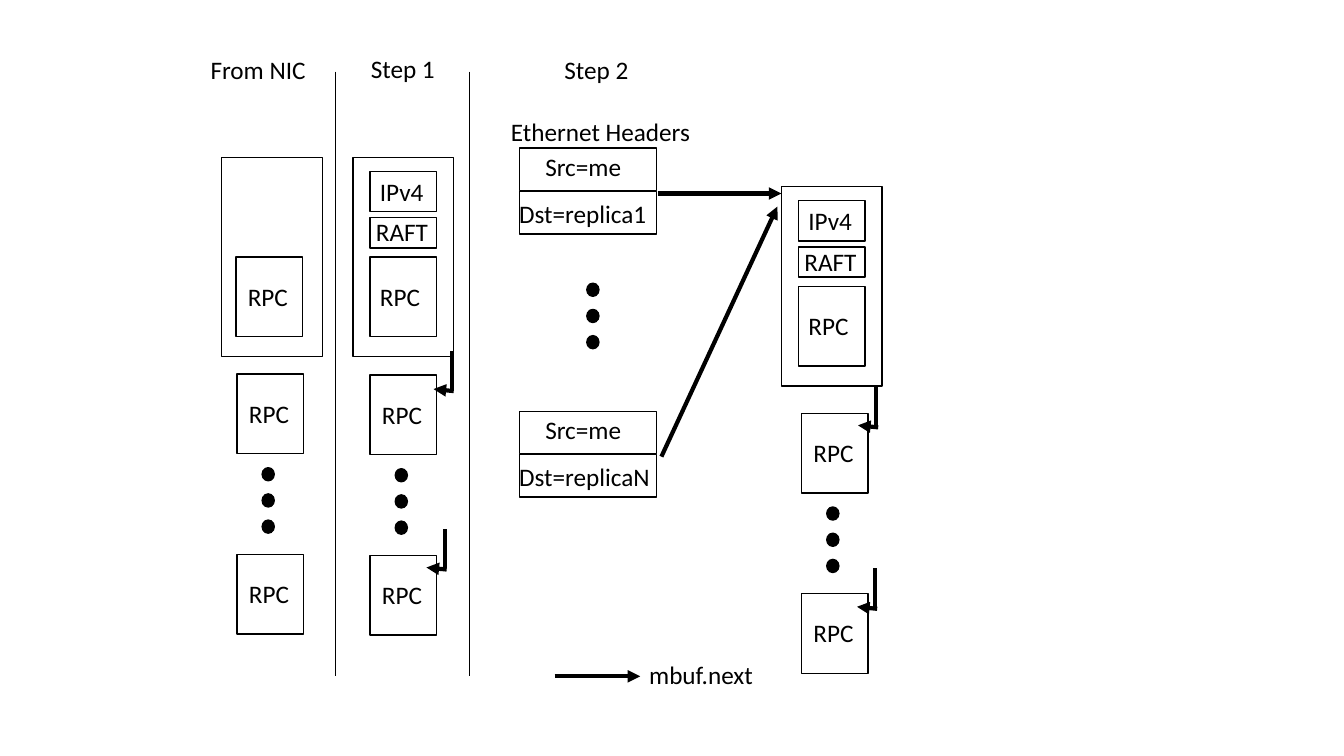
from lxml import etree
from pptx import Presentation
from pptx.dml.color import RGBColor
from pptx.enum.shapes import MSO_CONNECTOR, MSO_SHAPE
from pptx.enum.text import MSO_AUTO_SIZE
from pptx.oxml.ns import qn
from pptx.util import Inches, Pt

RECTANGLE = MSO_SHAPE.RECTANGLE
OVAL = MSO_SHAPE.OVAL
STRAIGHT = MSO_CONNECTOR.STRAIGHT
FIT_TEXT = MSO_AUTO_SIZE.SHAPE_TO_FIT_TEXT
BLACK = "000000"
FONT = "Calibri"
TEXT_HEIGHT = 0.4

# Content: free-standing text as (text, left, top, width)
CAPTIONS = [
    ("From NIC", 1.99, 0.49, 1.16),
    ("Step 1", 3.58, 0.48, 0.84),
    ("Step 2", 5.5, 0.49, 0.84),
    ("Ethernet Headers", 4.97, 1.1, 2),
    ("mbuf.next", 6.34, 6.49, 1.24),
]

# Parts of a packet: text, box (dx, dy, height), label (dx, dy, width)
RPC_PART = ("RPC", (0.17, 0.99, 0.79), (0.17, 1.18, 0.6))
RAFT_PART = ("RAFT", (0.17, 0.6, 0.3), (0.13, 0.54, 0.72))
IPV4_PART = ("IPv4", (0.17, 0.14, 0.4), (0.17, 0.14, 0.64))
NIC_RPC_PART = ("RPC", (0.14, 0.99, 0.79), (0.16, 1.18, 0.6))
PACKETS = [
    (2.2, 1.56, [NIC_RPC_PART]),
    (3.5, 1.56, [RPC_PART, RAFT_PART, IPV4_PART]),
    (7.75, 1.85, [RPC_PART, RAFT_PART, IPV4_PART]),
]
PACKET_SIZE = (1, 1.98)
PART_WIDTH = 0.66

# Chains of further RPC buffers below each packet
CHAINS = [(2.35, 3.71), (3.67, 3.72), (7.95, 4.1)]
CHAIN_STEP = 1.79
CHAIN_PART = ("RPC", (0, 0, 0.79), (0.02, 0.19, 0.6))
CHAIN_DOTS = (0.25, 0.93)

# Ethernet headers: left, top, destination, width of destination text
HEADERS = [
    (5.15, 1.47, "Dst=replica1", 1.48),
    (5.15, 4.08, "Dst=replicaN", 1.51),
]
HEADER_SIZE = (1.36, 0.42)
HEADER_STEP = 0.43
HEADER_DOTS = (5.82, 2.81)

DIVIDERS = [3.33, 4.66]
ARROWS = [
    ((6.53, 1.92), (7.75, 1.92)),
    ((6.56, 4.53), (7.71, 2.05)),
    ((5.5, 6.71), (6.35, 6.71)),
]
HOOKS = [(4.48, 3.48), (4.41, 5.25), (8.68, 5.64), (8.69, 3.84)]


def color(hex_value):
    return RGBColor.from_string(hex_value)


def add_shape(slide, kind, left, top, width, height, fill=None):
    shape = slide.shapes.add_shape(
        kind, Inches(left), Inches(top), Inches(width), Inches(height))
    shape.shadow.inherit = False
    if fill:
        shape.fill.solid()
        shape.fill.fore_color.rgb = color(fill)
    else:
        shape.fill.background()
    shape.line.color.rgb = color(BLACK)
    shape.line.width = Pt(1)


def add_label(slide, text, left, top, width):
    box = slide.shapes.add_textbox(
        Inches(left), Inches(top), Inches(width), Inches(TEXT_HEIGHT))
    frame = box.text_frame
    frame.text = text
    frame.word_wrap = False
    frame.auto_size = FIT_TEXT
    font = frame.paragraphs[0].runs[0].font
    font.name = FONT
    font.size = Pt(18)
    font.color.rgb = color(BLACK)


def add_line(slide, start, end, weight=3, arrow=False):
    connector = slide.shapes.add_connector(
        STRAIGHT, *(Inches(value) for value in (*start, *end)))
    connector.line.color.rgb = color(BLACK)
    connector.line.width = Pt(weight)
    if arrow:
        outline = connector.line._get_or_add_ln()
        etree.SubElement(outline, qn("a:tailEnd"), type="triangle")
    etree.SubElement(connector._element.spPr, qn("a:effectLst"))


def add_part(slide, left, top, part):
    text, (box_x, box_y, height), (label_x, label_y, width) = part
    add_shape(slide, RECTANGLE, left + box_x, top + box_y, PART_WIDTH, height)
    add_label(slide, text, left + label_x, top + label_y, width)


def add_dots(slide, left, top):
    for index in range(3):
        add_shape(slide, OVAL, left, top + 0.26 * index, 0.12, 0.13, BLACK)


def main():
    presentation = Presentation()
    presentation.slide_width = Inches(13.33)
    presentation.slide_height = Inches(7.5)
    slide = presentation.slides.add_slide(presentation.slide_layouts[6])

    # Captions and column dividers
    for caption in CAPTIONS:
        add_label(slide, *caption)
    for x in DIVIDERS:
        add_line(slide, (x, 0.71), (x, 6.71), weight=0.5)

    # Packets with their inner parts
    for left, top, parts in PACKETS:
        add_shape(slide, RECTANGLE, left, top, *PACKET_SIZE)
        for part in parts:
            add_part(slide, left, top, part)

    # Chained buffers
    for left, top in CHAINS:
        add_part(slide, left, top, CHAIN_PART)
        add_part(slide, left, top + CHAIN_STEP, CHAIN_PART)
        add_dots(slide, left + CHAIN_DOTS[0], top + CHAIN_DOTS[1])

    # Ethernet headers
    for left, top, destination, text_width in HEADERS:
        for row in range(2):
            add_shape(slide, RECTANGLE, left, top + row * HEADER_STEP, *HEADER_SIZE)
        add_label(slide, "Src=me", left + 0.16, top - 0.02, 0.96)
        add_label(slide, destination, left - 0.1, top + 0.45, text_width)
    add_dots(slide, *HEADER_DOTS)

    # Arrows, and hooks that turn left into the next buffer
    for start, end in ARROWS:
        add_line(slide, start, end, arrow=True)
    for x, y in HOOKS:
        add_line(slide, (x, y), (x, y + 0.39))
        add_line(slide, (x + 0.02, y + 0.4), (x - 0.18, y + 0.38), arrow=True)

    presentation.save("out.pptx")


if __name__ == "__main__":
    main()
